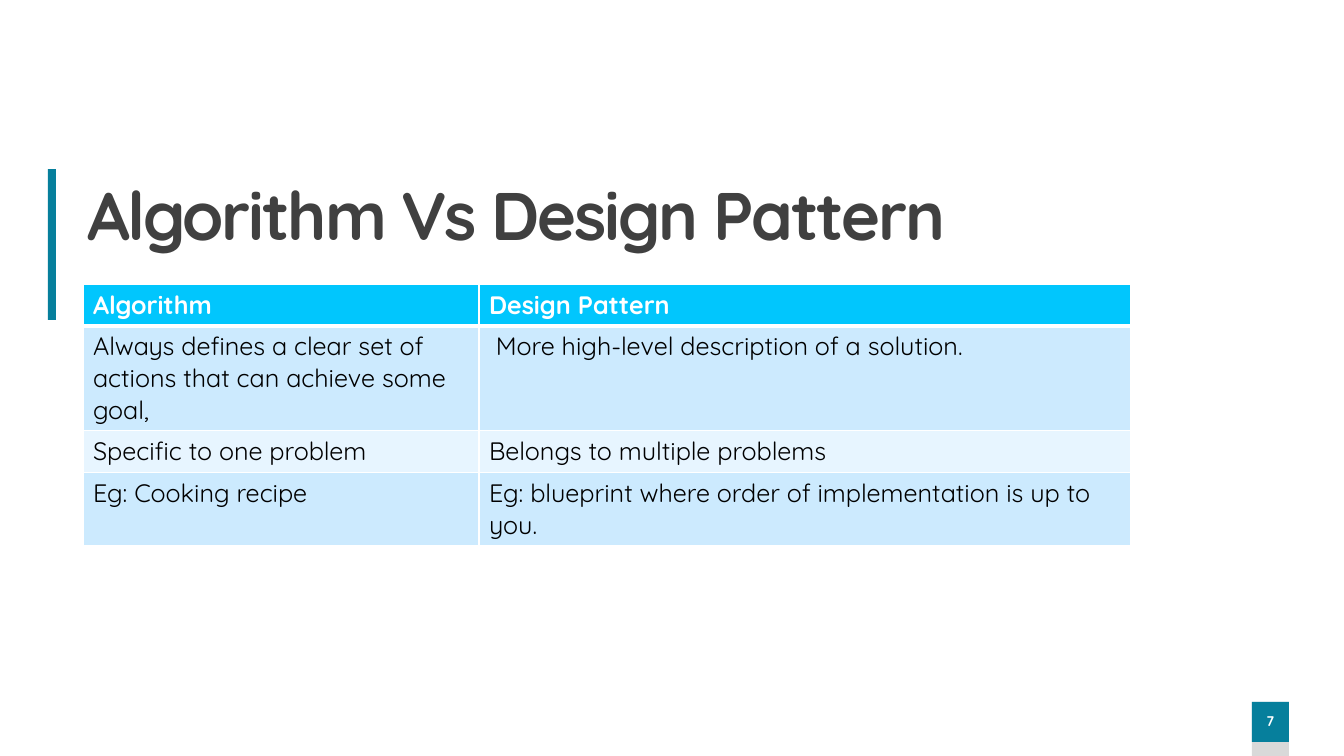
from lxml import etree
from pptx import Presentation
from pptx import util as u
from pptx.dml.color import RGBColor
from pptx.enum import shapes, text
from pptx.oxml import ns

PX = 914400 / 100.8
FONT = "Quicksand"
TEAL, WHITE = "067F9C", "FFFFFF"
HEADER_FILL, BAND_FILLS = "01C6FD", ("CCEAFE", "E7F5FF")
COMPARISON = [
    ("Algorithm", "Design Pattern"),
    ("Always defines a clear set of actions that can achieve some goal,",
     " More high-level description of a solution."),
    ("Specific to one problem", "Belongs to multiple problems"),
    ("Eg: Cooking recipe",
     "Eg: blueprint where order of implementation is up to you."),
]


def px(length):
    return u.Emu(round(length * PX))


def color(value):
    return RGBColor.from_string(value)


def style(para, size, value, bold):
    para.font.name = FONT
    para.font.size = u.Pt(size)
    para.font.bold = bold
    para.font.color.rgb = color(value)


def add_bar(page, left, top, width, height, fill):
    bar = page.shapes.add_shape(shapes.MSO_SHAPE.RECTANGLE,
                                px(left), px(top), px(width), px(height))
    bar.shadow.inherit = False
    bar.fill.solid()
    bar.fill.fore_color.rgb = color(fill)
    bar.line.fill.background()
    return bar


def add_page_number(page, left, top, width, height, number):
    """Teal number box above a grey foot that reaches the slide's edge."""
    add_bar(page, left, top, width, height + 14, "D9D9D9")
    frame = add_bar(page, left, top, width, height, TEAL).text_frame
    frame.margin_left = frame.margin_right = 0
    frame.vertical_anchor = text.MSO_ANCHOR.MIDDLE
    para = frame.paragraphs[0]
    para.text = number
    para.alignment = text.PP_ALIGN.CENTER
    para.line_spacing = 0.9
    para.space_before = u.Pt(10)
    style(para, 10, WHITE, True)


def add_title(page, left, top, width, height, wording):
    title = page.shapes.title
    title.left, title.top = px(left), px(top)
    title.width, title.height = px(width), px(height)
    frame = title.text_frame
    frame.word_wrap = True
    frame.auto_size = text.MSO_AUTO_SIZE.NONE
    frame.vertical_anchor = text.MSO_ANCHOR.MIDDLE
    para = frame.paragraphs[0]
    para.text = wording
    para.alignment = text.PP_ALIGN.LEFT
    para.line_spacing = 0.9
    style(para, 48, "404040", True)
    para.runs[0].font._element.set("spc", "-150")


def set_borders(cell, bottom_width):
    """White cell borders, which must precede the fill in the XML."""
    properties = cell._tc.get_or_add_tcPr()
    for place, side in enumerate(("lnL", "lnR", "lnT", "lnB")):
        width = bottom_width if side == "lnB" else 1
        line = etree.Element(ns.qn(f"a:{side}"), w=str(u.Pt(width)))
        fill = etree.SubElement(line, ns.qn("a:solidFill"))
        etree.SubElement(fill, ns.qn("a:srgbClr"), val=WHITE)
        properties.insert(place, line)


def add_comparison(page, left, top, widths, heights, rows):
    table = page.shapes.add_table(len(rows), len(widths), px(left), px(top),
                                  px(sum(widths)), px(sum(heights))).table
    for column, width in zip(table.columns, widths):
        column.width = px(width)
    for index, (row, height, wordings) in enumerate(
            zip(table.rows, heights, rows)):
        row.height = px(height)
        header = index == 0
        for cell, wording in zip(row.cells, wordings):
            cell.text = wording
            style(cell.text_frame.paragraphs[0], 18,
                  WHITE if header else "000000", header)
            cell.fill.solid()
            cell.fill.fore_color.rgb = color(
                HEADER_FILL if header else BAND_FILLS[(index - 1) % 2])
            set_borders(cell, 3 if header else 1)


def main():
    deck = Presentation()
    deck.slide_width, deck.slide_height = px(1344), px(756)
    page = deck.slides.add_slide(deck.slide_layouts[5])
    add_bar(page, 48, 169, 8, 151, TEAL)
    add_page_number(page, 1252, 702, 37, 40, "7")
    add_comparison(page, 83, 284, (396, 652), (41, 100, 41, 71), COMPARISON)
    add_title(page, 77, 177, 1065, 83, "Algorithm Vs Design Pattern")
    deck.save("out.pptx")


if __name__ == "__main__":
    main()
